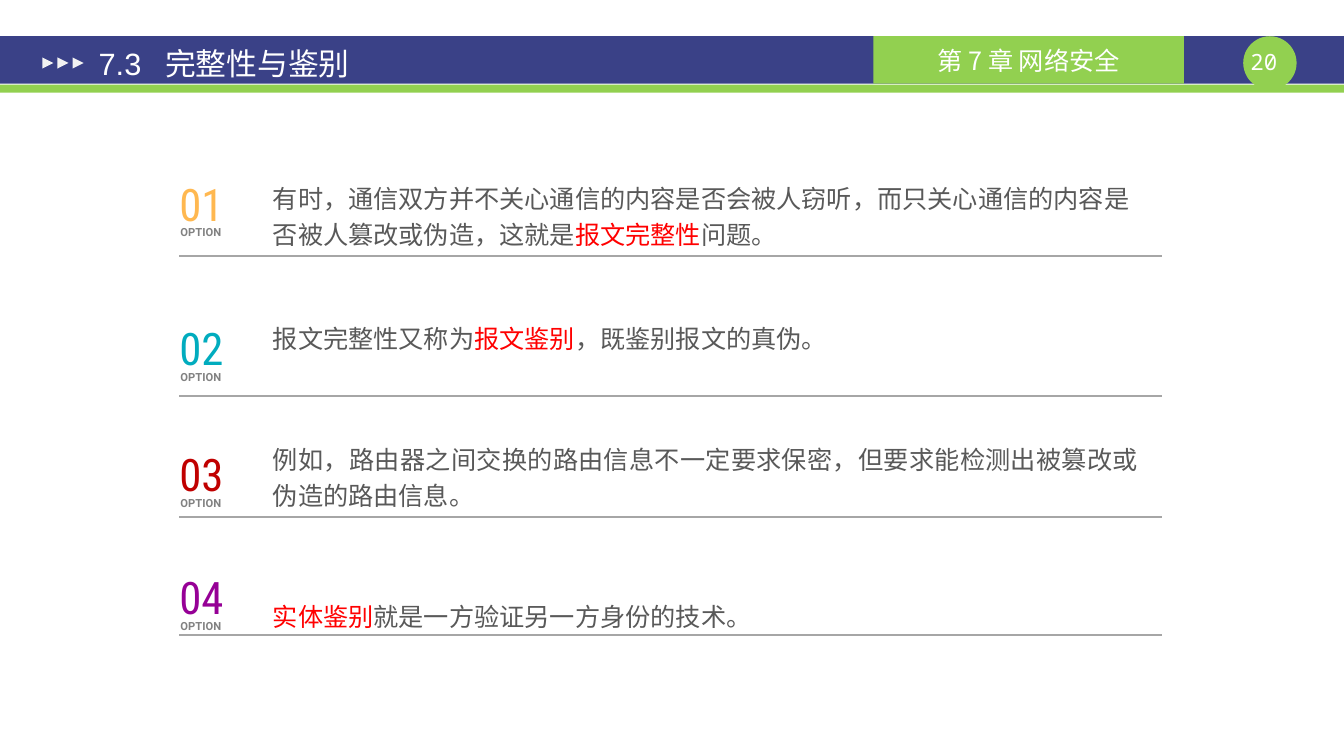
from pptx import Presentation
from pptx.dml.color import RGBColor
from pptx.enum.shapes import MSO_CONNECTOR, MSO_SHAPE
from pptx.enum.text import MSO_ANCHOR, PP_ALIGN
from pptx.oxml.ns import qn
from pptx.util import Pt
from lxml.etree import SubElement

PX = 9144  # EMU per px, 100 px to the inch

NAVY = RGBColor(0x3A, 0x41, 0x87)
GREEN = RGBColor(0x92, 0xD0, 0x50)
WHITE = RGBColor(0xFF, 0xFF, 0xFF)
PALE = RGBColor(0xF2, 0xF2, 0xF2)
RULE_GREY = RGBColor(0xA6, 0xA6, 0xA6)
LABEL_GREY = RGBColor(0x81, 0x81, 0x81)
TEXT_GREY = RGBColor(0x59, 0x59, 0x59)
RED = RGBColor(0xFF, 0x00, 0x00)
AMBER = RGBColor(0xFF, 0xB8, 0x50)
TEAL = RGBColor(0x01, 0xAC, 0xBE)
CRIMSON = RGBColor(0xC0, 0x00, 0x00)
PURPLE = RGBColor(0x96, 0x00, 0x96)

CJK = "Noto Sans CJK SC"
LEFT, CENTER, JUSTIFY = PP_ALIGN.LEFT, PP_ALIGN.CENTER, PP_ALIGN.JUSTIFY

# Content
SECTION = "7.3\t完整性与鉴别"
CHAPTER = "第 7 章 网络安全"
PAGE = "20"
LABEL = "OPTION"
# number, colour, number top, text top, text width, alignment, rule y, runs
OPTIONS = [
    ("01", AMBER, 175, 171, 892, LEFT, 254, [
        ("有时，通信双方并不关心通信的内容是否会被人窃听，而只关心通信的内容是"
         "否被人篡改或伪造，这就是", TEXT_GREY),
        ("报文完整性", RED), ("问题。", TEXT_GREY)]),
    ("02", TEAL, 318, 310, 892, JUSTIFY, 393, [
        ("报文完整性又称为", TEXT_GREY), ("报文鉴别", RED),
        ("，既鉴别报文的真伪。", TEXT_GREY)]),
    ("03", CRIMSON, 443, 430, 879, JUSTIFY, 513, [
        ("例如，路由器之间交换的路由信息不一定要求保密，但要求能检测出被篡改或"
         "伪造的路由信息。", TEXT_GREY)]),
    ("04", PURPLE, 565, 586, 892, JUSTIFY, 630, [
        ("实体鉴别", RED), ("就是一方验证另一方身份的技术。", TEXT_GREY)]),
]

deck = Presentation()
deck.slide_width, deck.slide_height = 1334 * PX, 750 * PX
slide = deck.slides.add_slide(deck.slide_layouts[6])


def emu(*lengths):
    return [length * PX for length in lengths]


def add_block(kind, box, fill, rotation=0):
    block = slide.shapes.add_shape(kind, *emu(*box))
    block.shadow.inherit = False
    block.fill.solid()
    block.fill.fore_color.rgb = fill
    block.line.fill.background()
    block.rotation = rotation


def add_text(box, runs, *, size, font, align=LEFT, anchor=MSO_ANCHOR.TOP, bold=False,
             inset=(0, 0), spacing=None, wrap=True, tab=None):
    frame = slide.shapes.add_textbox(*emu(*box)).text_frame
    frame.word_wrap = wrap
    frame.vertical_anchor = anchor
    frame.margin_left = frame.margin_right = inset[0] * PX
    frame.margin_top = frame.margin_bottom = inset[1] * PX
    paragraph = frame.paragraphs[0]
    if tab:
        stops = SubElement(paragraph._p.get_or_add_pPr(), qn("a:tabLst"))
        SubElement(stops, qn("a:tab"), pos=str(tab * PX), algn="l")
    paragraph.alignment = align
    if spacing:
        paragraph.line_spacing = spacing
    for words, color in runs:
        run = paragraph.add_run()
        run.text = words
        run.font.size = Pt(size)
        run.font.bold = bold
        run.font.name = font
        run.font.color.rgb = color
        SubElement(run.font._element, qn("a:ea"), typeface=CJK)


def add_rule(y):
    rule = slide.shapes.add_connector(MSO_CONNECTOR.STRAIGHT, *emu(178, y, 1153, y))
    rule.line.color.rgb = RULE_GREY
    rule.line.width = Pt(1)
    SubElement(rule._element.spPr, qn("a:effectLst"))


# Header band
chapter_box = (867, 36, 308, 47)
add_block(MSO_SHAPE.RECTANGLE, (0, 36, 1334, 47), NAVY)
add_block(MSO_SHAPE.RECTANGLE, (0, 84, 1334, 8), GREEN)
add_block(MSO_SHAPE.OVAL, (1234, 36, 53, 53), GREEN)
add_block(MSO_SHAPE.RECTANGLE, chapter_box, GREEN)
for i in range(3):
    add_block(MSO_SHAPE.ISOSCELES_TRIANGLE, (42 + 15 * i, 57, 11, 11), PALE, rotation=90)
add_text((1228, 48, 53, 27), [(PAGE, WHITE)], size=16, font="Noto Sans Mono", align=CENTER)
add_text(chapter_box, [(CHAPTER, WHITE)], size=18, font=CJK, align=CENTER,
         anchor=MSO_ANCHOR.MIDDLE, inset=(10, 5))
add_text((85, 39, 583, 47), [(SECTION, WHITE)], size=22, font="Arial",
         anchor=MSO_ANCHOR.MIDDLE, inset=(13, 7), tab=66)

# Numbered options
for number, color, number_top, text_top, text_width, align, rule_y, runs in OPTIONS:
    add_rule(rule_y)
    add_text((178, number_top, 49, 54), [(number, color)], size=32,
             font="Roboto Condensed", anchor=MSO_ANCHOR.MIDDLE)
    add_text((168, number_top + 44, 63, 24), [(LABEL, LABEL_GREY)], size=8, font="Roboto",
             bold=True, align=CENTER, inset=(10, 5), wrap=False)
    add_text((261, text_top, text_width, 43), runs, size=18, font=CJK, align=align,
             inset=(10, 5), spacing=1.2)

deck.save("out.pptx")
